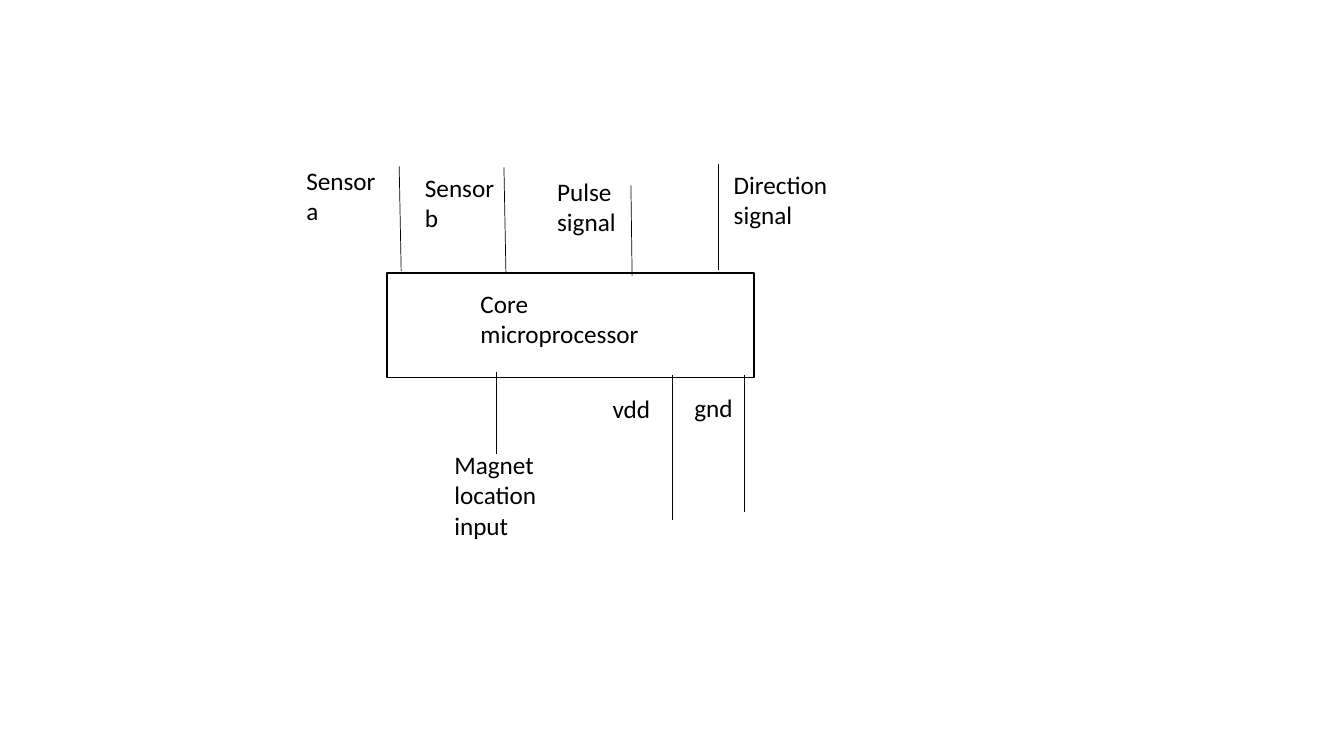
import pptx
import pptx.util
import pptx.dml.color
import pptx.enum.shapes
import pptx.oxml.ns
import lxml.etree

Cm = pptx.util.Cm
Pt = pptx.util.Pt
FONT = "Calibri"
BLACK = "000000"
WHITE = "FFFFFF"

LABELS = [
    ("Core microprocessor", 11.86, 7.14, 5.08, 1.8),
    ("gnd", 17.25, 9.75, 1.75, 1.02),
    ("vdd", 15.19, 9.78, 1.75, 1.02),
    ("Magnet location input", 11.2, 11.2, 3.02, 2.57),
    ("Sensor a", 7.47, 4.04, 2.44, 1.8),
    ("Sensor b", 10.46, 4.22, 2.44, 1.8),
    ("Pulse signal", 13.79, 4.32, 2.77, 1.8),
    ("Direction signal", 18.24, 4.14, 3.1, 1.8),
]

PINS = [
    (18.75, 9.45, 18.75, 12.9),
    (16.94, 9.45, 16.94, 13.11),
    (12.5, 9.37, 12.5, 11.43),
    (12.75, 6.88, 12.7, 4.22),
    (18.11, 4.14, 18.11, 6.81),
    (15.9, 4.67, 15.93, 6.96),
    (10.11, 6.83, 10.06, 4.19),
]


def color(code):
    return pptx.dml.color.RGBColor.from_string(code)


def add_box(slide, *place):
    kind = pptx.enum.shapes.MSO_SHAPE.RECTANGLE
    box = slide.shapes.add_shape(kind, *map(Cm, place))
    box.shadow.inherit = False
    box.fill.solid()
    box.fill.fore_color.rgb = color(WHITE)
    box.line.color.rgb = color(BLACK)
    box.line.width = Pt(1)


def add_label(slide, text, *place):
    frame = slide.shapes.add_textbox(*map(Cm, place)).text_frame
    frame.word_wrap = True
    run = frame.paragraphs[0].add_run()
    run.text = text
    run.font.name = FONT
    run.font.size = Pt(18)
    run.font.color.rgb = color(BLACK)


def add_pin(slide, *ends):
    kind = pptx.enum.shapes.MSO_CONNECTOR.STRAIGHT
    pin = slide.shapes.add_connector(kind, *map(Cm, ends))
    pin.line.color.rgb = color(BLACK)
    pin.line.width = Pt(0.5)
    tag = pptx.oxml.ns.qn("a:effectLst")
    lxml.etree.SubElement(pin._element.spPr, tag)


def main():
    deck = pptx.Presentation()
    deck.slide_width = Cm(33.87)
    deck.slide_height = Cm(19.05)
    slide = deck.slides.add_slide(deck.slide_layouts[6])
    add_box(slide, 9.75, 6.88, 9.25, 2.64)
    for label in LABELS:
        add_label(slide, *label)
    for pin in PINS:
        add_pin(slide, *pin)
    deck.save("out.pptx")


main()
